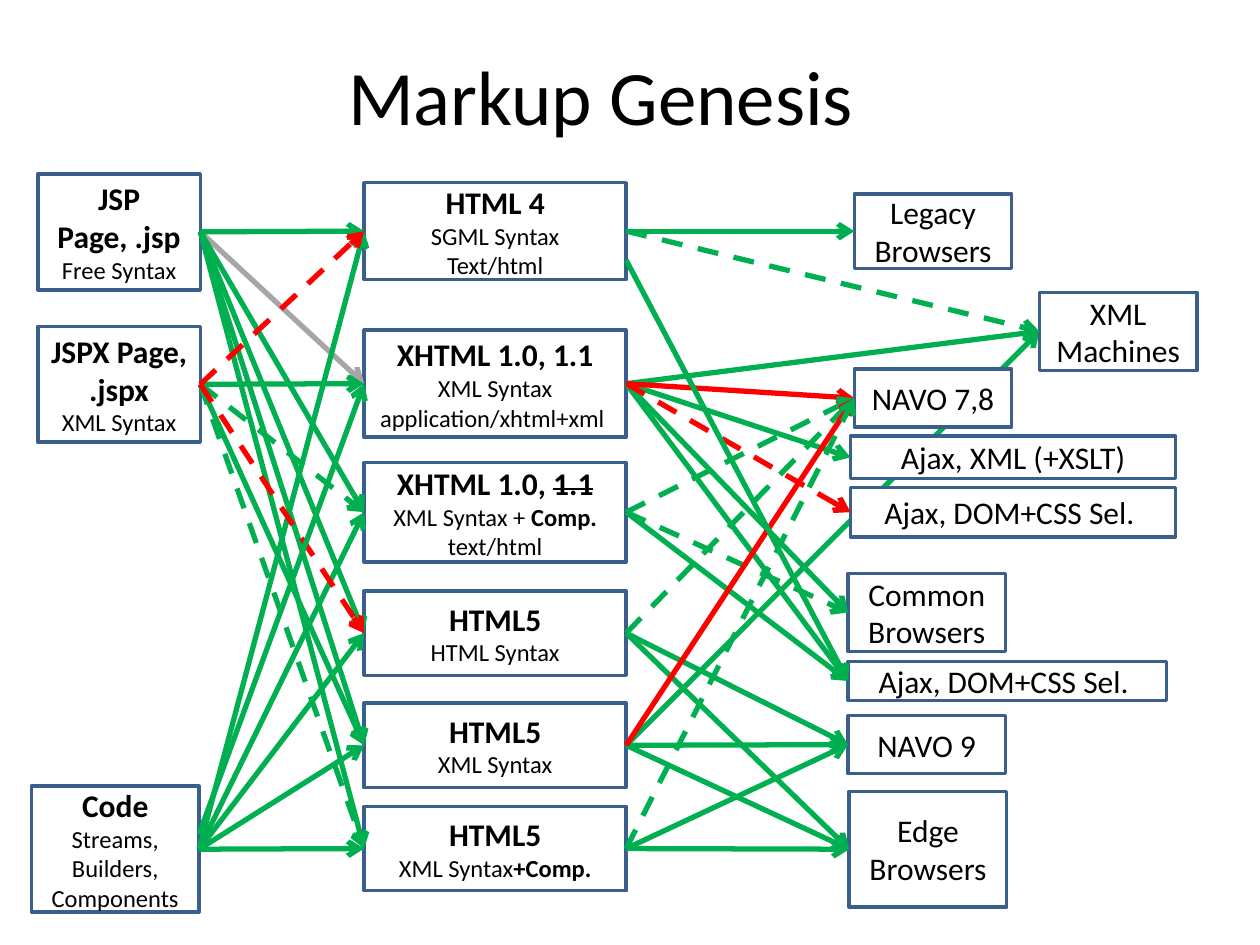
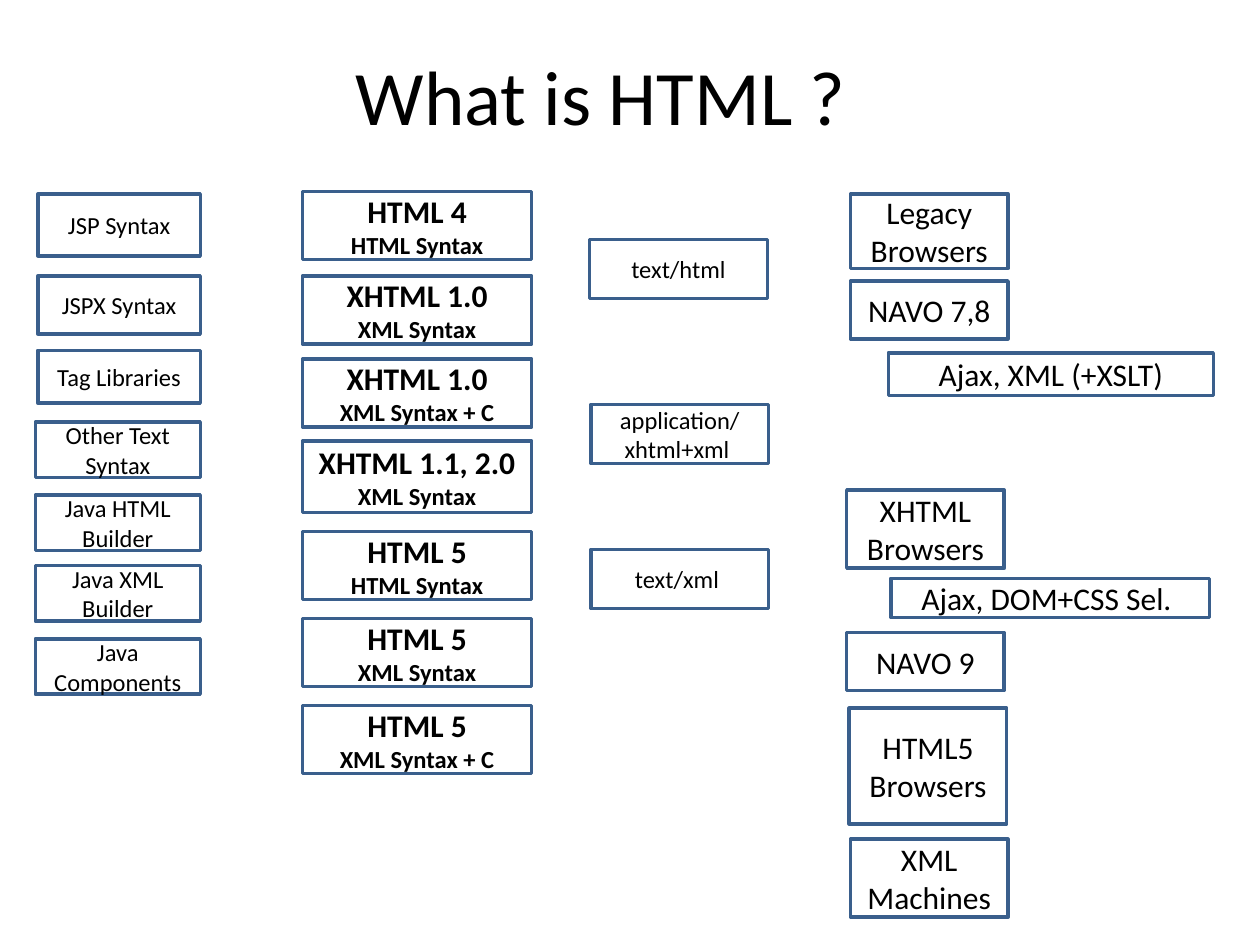
from lxml import etree
from pptx import Presentation
from pptx.dml.color import RGBColor
from pptx.enum import dml, shapes, text
from pptx.oxml import ns
from pptx.util import Inches, Pt

FONT = "Calibri"
BLACK = RGBColor(0x00, 0x00, 0x00)
WHITE = RGBColor(0xFF, 0xFF, 0xFF)
BORDER = RGBColor(0x3A, 0x5F, 0x8C)
GREEN = RGBColor(0x00, 0xB0, 0x50)
RED = RGBColor(0xFF, 0x00, 0x00)
GREY = RGBColor(0xA6, 0xA6, 0xA6)

# Text styles: size, bold
HEAD = (18, True)
DETAIL = (14, False)
DETAIL_BOLD = (14, True)
CLIENT = (18, False)

# Wording of the clients, used on both slides
CLIENTS = {
    "legacy": ["Legacy", "Browsers"],
    "navo8": ["NAVO 7,8"],
    "ajax_xml": ["Ajax, XML (+XSLT)"],
    "ajax_dom": ["Ajax, DOM+CSS Sel. "],
    "common": ["Common", "Browsers"],
    "common_ajax": ["Ajax, DOM+CSS Sel. "],
    "xhtml": ["XHTML", "Browsers"],
    "navo9": ["NAVO 9"],
    "edge": ["Edge", "Browsers"],
    "html5": ["HTML5", "Browsers"],
    "machines": ["XML Machines"],
}
FILLED = {"jsp", "jspx", "navo8", "ajax_xml", "ajax_dom"}

# Links of slide 1: source, colour, dashed, targets
LINKS = [
    ("jsp", GREY, False, ["xhtml"]),
    ("jsp", GREEN, False, ["html4", "xhtml_comp", "html5", "html5_xml", "html5_comp"]),
    ("jspx", GREEN, False, ["xhtml", "html5_xml"]),
    ("jspx", GREEN, True, ["xhtml_comp", "html5_comp"]),
    ("code", GREEN, False, ["html4", "xhtml_comp", "html5", "html5_xml", "html5_comp"]),
    ("jspx", RED, True, ["html4", "html5"]),
    ("html4", GREEN, False, ["legacy"]),
    ("html4", GREEN, True, ["machines"]),
    ("xhtml", GREEN, False, ["machines", "common", "ajax_xml", "common_ajax"]),
    ("xhtml", RED, False, ["navo8"]),
    ("xhtml", RED, True, ["ajax_dom"]),
    ("xhtml_comp", GREEN, True, ["navo8", "common"]),
    ("xhtml_comp", GREEN, False, ["common_ajax"]),
    ("html5", GREEN, False, ["navo9", "edge"]),
    ("html5", GREEN, True, ["navo8"]),
    ("html5_xml", GREEN, False, ["navo9", "edge"]),
    ("html5_comp", GREEN, False, ["edge", "navo9"]),
    ("html5_xml", RED, False, ["navo8"]),
    ("html5_comp", GREEN, True, ["navo8"]),
]


def write_line(paragraph, line, style):
    """A line is a string, or a list of (text, marks): b for bold, s for struck."""
    size, bold = style
    paragraph.alignment = text.PP_ALIGN.CENTER
    paragraph.font.name = FONT
    paragraph.font.size = Pt(size)
    paragraph.font.color.rgb = BLACK
    paragraph.font.bold = bold
    for words, marks in [(line, "")] if isinstance(line, str) else line:
        run = paragraph.add_run()
        run.text = words
        if "b" in marks:
            run.font.bold = True
        if "s" in marks:
            run._r.get_or_add_rPr().set("strike", "sngStrike")


def write_lines(frame, lines, head, detail):
    frame.word_wrap = True
    frame.vertical_anchor = text.MSO_ANCHOR.MIDDLE
    for i, line in enumerate(lines):
        paragraph = frame.add_paragraph() if i else frame.paragraphs[0]
        write_line(paragraph, line, detail if i else head)


def add_title(slide, title):
    label = slide.shapes.add_textbox(Inches(0.27), Inches(0.13), Inches(9), Inches(1.25))
    write_lines(label.text_frame, [title], (44, False), (44, False))


def add_box(slide, area, lines, head, detail, filled):
    box = slide.shapes.add_shape(shapes.MSO_SHAPE.RECTANGLE, *map(Inches, area))
    box.shadow.inherit = False
    if filled:
        box.fill.solid()
        box.fill.fore_color.rgb = WHITE
    else:
        box.fill.background()
    box.line.color.rgb = BORDER
    box.line.width = Pt(2)
    write_lines(box.text_frame, lines, head, detail)
    return box


def add_column(slide, origin, entries, head, detail):
    """Entries: name -> (x and y from the origin, width, height, lines)."""
    left, top = origin
    return {
        name: add_box(slide, (left + x, top + y, w, h), lines, head, detail, name in FILLED)
        for name, (x, y, w, h, lines) in entries.items()
    }


def add_clients(slide, origin, places):
    entries = {name: (*place, CLIENTS[name]) for name, place in places.items()}
    return add_column(slide, origin, entries, CLIENT, CLIENT)


def add_link(slide, source, target, colour=GREEN, dashed=False, shift=0):
    """Arrow from right side to left side; shift moves its start off the middle."""
    start_y = source.top + source.height // 2 + Inches(shift)
    link = slide.shapes.add_connector(
        shapes.MSO_CONNECTOR.STRAIGHT, source.left + source.width, start_y,
        target.left, target.top + target.height // 2)
    if not shift:
        link.begin_connect(source, 3)
    link.end_connect(target, 1)
    link.line.color.rgb = colour
    link.line.width = Pt(3)
    if dashed:
        link.line.dash_style = dml.MSO_LINE.DASH
    etree.SubElement(link.line._get_or_add_ln(), ns.qn("a:tailEnd"), type="arrow")
    etree.SubElement(link._element.spPr, ns.qn("a:effectLst"))
    return link


# Slide 1
def add_page_sources(slide, origin):
    return add_column(slide, origin, {
        "jsp": (0.05, 0, 1.29, 0.92, ["JSP Page, .jsp", "Free Syntax"]),
        "jspx": (0.05, 1.21, 1.29, 0.92, ["JSPX Page, .jspx", "XML Syntax"]),
        "code": (0, 4.86, 1.33, 1, ["Code", "Streams, Builders, Components"]),
    }, HEAD, DETAIL)


def add_markups(slide, origin):
    width = 2.08
    return add_column(slide, origin, {
        "html4": (0, 0, width, 0.77, ["HTML 4", "SGML Syntax", "Text/html"]),
        "xhtml": (0, 1.17, width, 0.85,
                  ["XHTML 1.0, 1.1", "XML Syntax", "application/xhtml+xml "]),
        "xhtml_comp": (0, 2.22, width, 0.79,
                       [[("XHTML 1.0, ", ""), ("1.1", "s")],
                        [("XML Syntax + ", ""), ("Comp.", "b")], "text/html"]),
        "html5": (0, 3.24, width, 0.67, ["HTML5", "HTML Syntax"]),
        "html5_xml": (0, 4.13, width, 0.67, ["HTML5", "XML Syntax"]),
        "html5_comp": (0, 4.95, width, 0.67,
                       ["HTML5", [("XML Syntax", ""), ("+Comp.", "b")]]),
    }, HEAD, DETAIL)


def add_links(slide, sources, markups, clients):
    for start, colour, dashed, ends in LINKS:
        starts, targets = (sources, markups) if start in sources else (markups, clients)
        for end in ends:
            add_link(slide, starts[start], targets[end], colour, dashed)
    # Two arrows that start off the middle
    add_link(slide, sources["code"], markups["xhtml"], shift=-0.12)
    add_link(slide, markups["html4"], clients["common_ajax"], shift=0.23)
    # One arrow that passes behind the boxes
    behind = add_link(slide, markups["html5_xml"], clients["machines"])
    slide.shapes._spTree.insert(2, behind._element)


def build_genesis(slide):
    add_title(slide, "Markup Genesis")
    sources = add_page_sources(slide, (0.25, 1.38))
    markups = add_markups(slide, (2.89, 1.45))
    clients = add_clients(slide, (6.73, 1.54), {
        "legacy": (0.05, 0, 1.25, 0.59),
        "machines": (1.52, 0.78, 1.25, 0.62),
        "navo8": (0.05, 1.39, 1.25, 0.46),
        "ajax_xml": (0.02, 1.92, 2.58, 0.34),
        "ajax_dom": (0.02, 2.33, 2.58, 0.39),
        "common": (0, 3.01, 1.25, 0.62),
        "common_ajax": (0, 3.71, 2.53, 0.31),
        "navo9": (0, 4.14, 1.25, 0.46),
        "edge": (0.01, 4.74, 1.25, 0.92),
    })
    add_links(slide, sources, markups, clients)


# Slide 2
def add_syntaxes(slide, origin):
    add_column(slide, origin, {
        "jsp": (0.02, 0, 1.29, 0.49, ["JSP Syntax"]),
        "jspx": (0.02, 0.65, 1.29, 0.46, ["JSPX Syntax"]),
        "tags": (0.02, 1.24, 1.29, 0.42, ["Tag Libraries"]),
        "other": (0, 1.81, 1.31, 0.44, ["Other Text Syntax"]),
        "html_builder": (0, 2.39, 1.31, 0.44, ["Java HTML Builder"]),
        "xml_builder": (0, 2.95, 1.31, 0.44, ["Java XML Builder"]),
        "components": (0, 3.53, 1.31, 0.44, ["Java Components"]),
    }, DETAIL, DETAIL)


def add_versions(slide, origin):
    versions = [
        (0, 0.54, "HTML 4", "HTML Syntax"),
        (0.67, 0.54, "XHTML 1.0", "XML Syntax"),
        (1.33, 0.54, "XHTML 1.0", "XML Syntax + C"),
        (1.98, 0.57, "XHTML 1.1, 2.0", "XML Syntax"),
        (2.7, 0.54, "HTML 5", "HTML Syntax"),
        (3.39, 0.54, "HTML 5", "XML Syntax"),
        (4.08, 0.54, "HTML 5", "XML Syntax + C"),
    ]
    entries = {y: (0, y, 1.82, h, lines) for y, h, *lines in versions}
    add_column(slide, origin, entries, HEAD, DETAIL_BOLD)


def add_media_types(slide, origin):
    add_column(slide, origin, {
        "html": (0, 0, 1.41, 0.47, ["text/html"]),
        "xhtml": (0.01, 1.31, 1.41, 0.47, ["application/", "xhtml+xml "]),
        "xml": (0.01, 2.46, 1.41, 0.47, ["text/xml "]),
    }, DETAIL, DETAIL)


def build_overview(slide):
    add_title(slide, "What is HTML ?")
    add_syntaxes(slide, (0.28, 1.54))
    add_versions(slide, (2.4, 1.52))
    add_media_types(slide, (4.68, 1.9))
    add_clients(slide, (6.72, 1.54), {
        "legacy": (0.03, 0, 1.25, 0.59),
        "navo8": (0.03, 0.69, 1.25, 0.46),
        "ajax_xml": (0.33, 1.26, 2.58, 0.34),
        "xhtml": (0, 2.35, 1.25, 0.62),
        "common_ajax": (0.35, 3.05, 2.53, 0.31),
        "navo9": (0, 3.48, 1.25, 0.46),
        "html5": (0.02, 4.08, 1.25, 0.92),
        "machines": (0.03, 5.12, 1.25, 0.62),
    })


def main():
    deck = Presentation()
    deck.slide_width, deck.slide_height = Inches(10), Inches(7.5)
    for build in (build_genesis, build_overview):
        build(deck.slides.add_slide(deck.slide_layouts[6]))
    deck.save("out.pptx")


if __name__ == "__main__":
    main()
